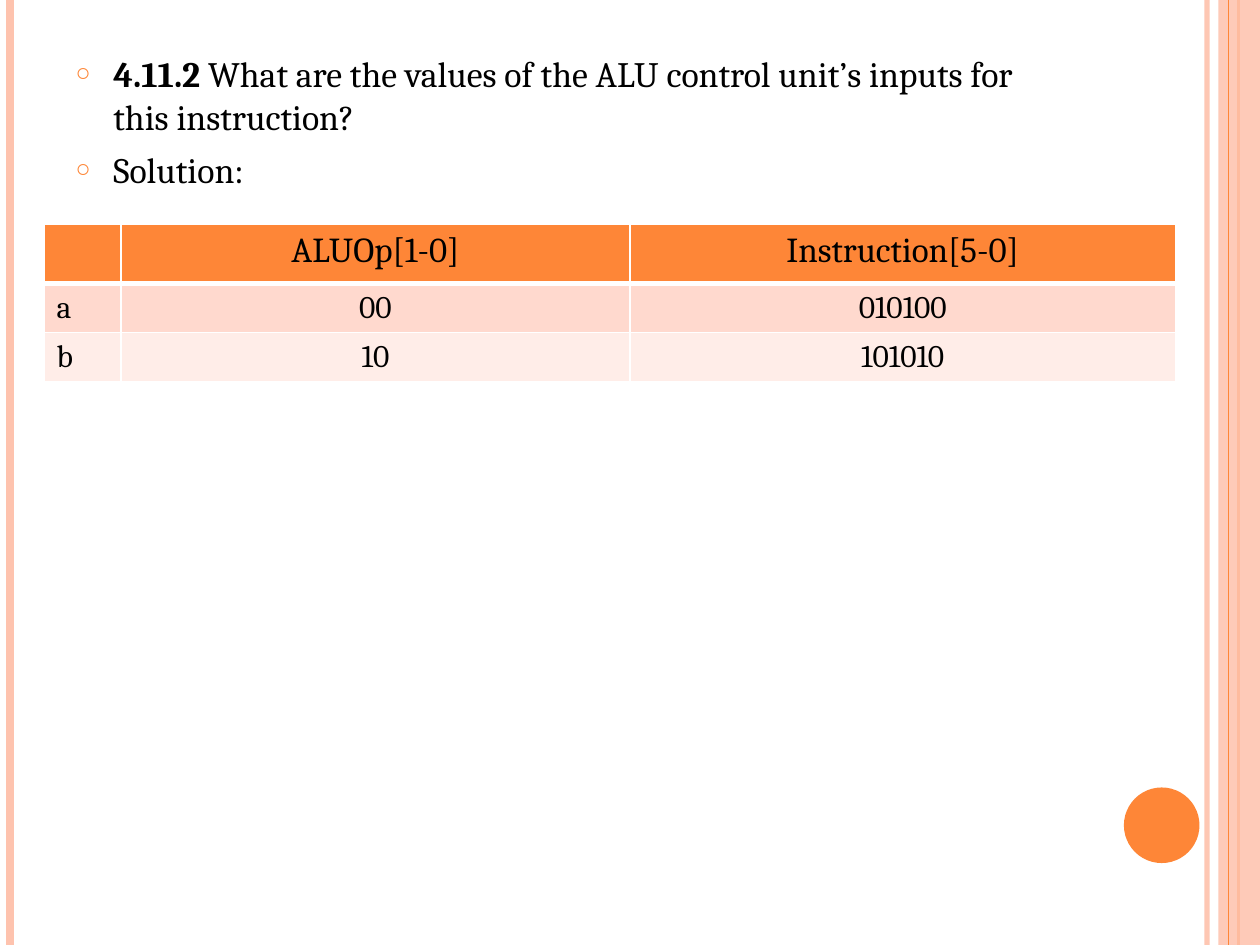
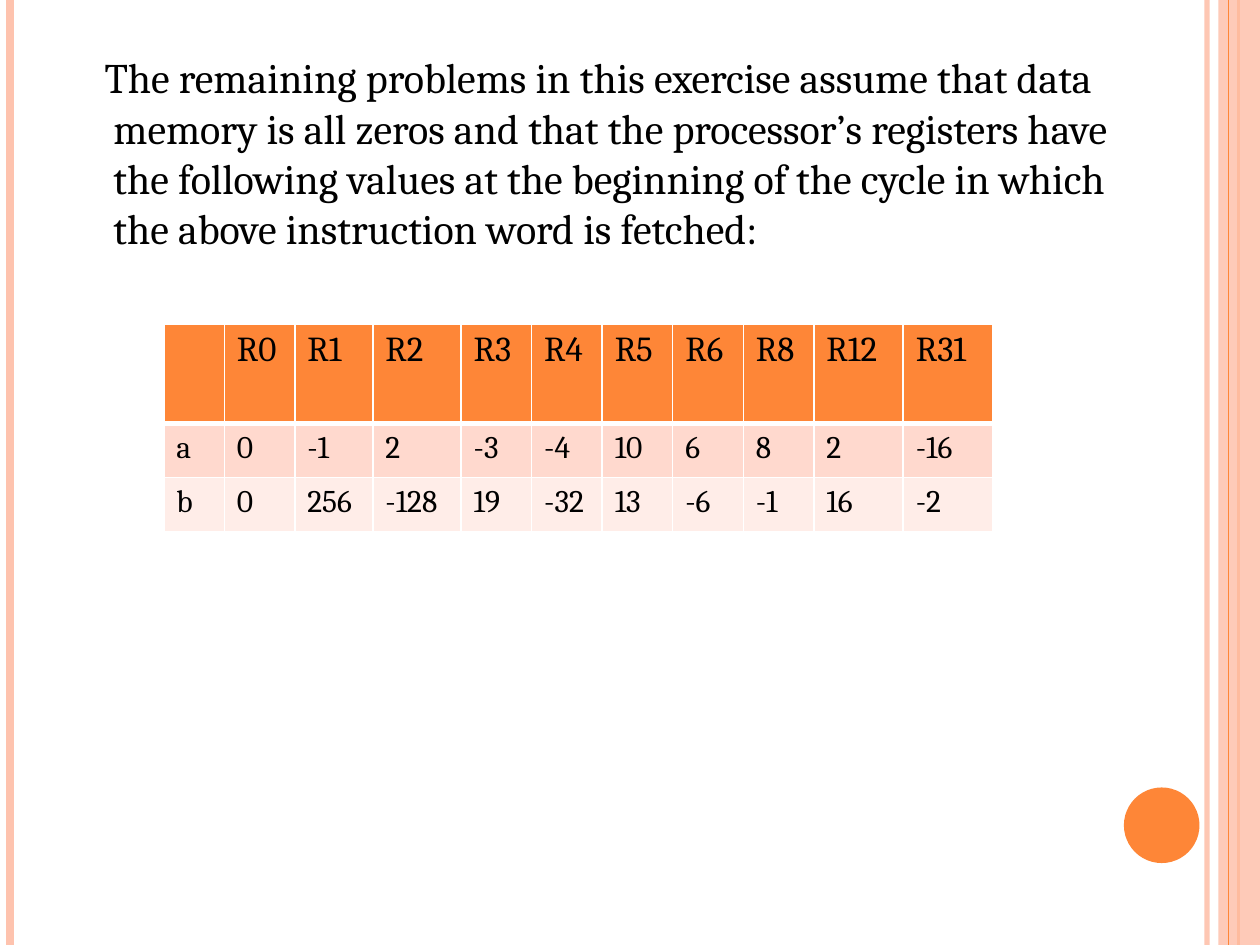
from lxml.etree import SubElement
from pptx import Presentation
from pptx.dml.color import RGBColor
from pptx.enum.shapes import MSO_CONNECTOR, MSO_SHAPE
from pptx.enum.text import MSO_ANCHOR, MSO_AUTO_SIZE, PP_ALIGN
from pptx.oxml.ns import qn
from pptx.util import Inches, Pt

FONT = "Cambria"
BLACK, WHITE = "000000", "FFFFFF"
ORANGE, PEACH = "FE8637", "FEC3AE"
ROWS = [ORANGE, "FFD9CE", "FFEDE8"]
HIGH = 7.5
LINES = [(9.58, PEACH, 3, 93), (0.08, PEACH, 4.5, 100), (9.83, ORANGE, 1.5, 100)]
EDGE = (9.75, ORANGE, 0.75, 100)


def paint(form, color):
    form.rgb = RGBColor.from_string(color)


def fade(shape, alpha):
    for color in shape._element.spPr.iter(qn("a:srgbClr")):
        SubElement(color, qn("a:alpha"), val=str(alpha * 1000))


def style(para, size):
    para.font.name = FONT
    para.font.size = Pt(size)
    paint(para.font.color, BLACK)


def rule(slide, x, color, width, alpha):
    line = slide.shapes.add_connector(
        MSO_CONNECTOR.STRAIGHT, Inches(x), 0, Inches(x), Inches(HIGH))
    paint(line.line.color, color)
    line.line.width = Pt(width)
    if alpha < 100:
        fade(line, alpha)
    SubElement(line._element.spPr, qn("a:effectLst"))


def solid(slide, kind, box, color):
    shape = slide.shapes.add_shape(kind, *map(Inches, box))
    shape.shadow.inherit = False
    shape.fill.solid()
    paint(shape.fill.fore_color, color)
    shape.line.fill.background()
    return shape


def frame(slide):
    for line in LINES:
        rule(slide, *line)
    fade(solid(slide, MSO_SHAPE.RECTANGLE, (9.67, 0, 0.33, HIGH), PEACH), 87)
    rule(slide, *EDGE)
    solid(slide, MSO_SHAPE.OVAL, (8.92, 6.25, 0.6, 0.6), ORANGE)


def bullet(props, mark):
    if not mark:
        SubElement(props, qn("a:buNone"))
        return
    color = SubElement(props, qn("a:buClr"))
    SubElement(color, qn("a:srgbClr"), val=ORANGE)
    SubElement(props, qn("a:buSzPct"), val="70000")
    SubElement(props, qn("a:buChar"), char=mark)


def body(slide, box, items, size, mark="", indent=-0.3, right=0.1):
    shape = slide.placeholders[1]
    shape.left, shape.top, shape.width, shape.height = map(Inches, box)
    text = shape.text_frame
    text.auto_size = MSO_AUTO_SIZE.NONE
    text.word_wrap = True
    text.vertical_anchor = MSO_ANCHOR.TOP
    text.margin_right = Inches(right)
    for i, (lead, rest) in enumerate(items):
        para = text.add_paragraph() if i else text.paragraphs[0]
        props = para._p.get_or_add_pPr()
        props.set("marL", str(Inches(0.3)))
        props.set("indent", str(Inches(indent)))
        para.space_before = Pt(6 if i else 0)
        bullet(props, mark)
        style(para, size)
        if lead:
            run = para.add_run()
            run.text = lead
            run.font.bold = True
        para.add_run().text = rest


def border(cell, row):
    props = cell._tc.get_or_add_tcPr()
    widths = {"L": 1, "R": 1, "T": 3 if row == 1 else 1, "B": 1 if row else 3}
    for side, width in widths.items():
        line = SubElement(props, qn("a:ln" + side), w=str(Pt(width)))
        fill = SubElement(line, qn("a:solidFill"))
        SubElement(fill, qn("a:srgbClr"), val=WHITE)


def grid(slide, left, top, cols, rows, data, align):
    box = map(Inches, (left, top, sum(cols), sum(rows)))
    table = slide.shapes.add_table(len(rows), len(cols), *box).table
    table.first_row = table.horz_banding = False
    for col, width in zip(table.columns, cols):
        col.width = Inches(width)
    for r, (values, height) in enumerate(zip(data, rows)):
        table.rows[r].height = Inches(height)
        for c, value in enumerate(values):
            cell = table.cell(r, c)
            border(cell, r)
            cell.fill.solid()
            paint(cell.fill.fore_color, ROWS[r])
            cell.text = value
            para = cell.text_frame.paragraphs[0]
            para.alignment = align if c else PP_ALIGN.LEFT
            style(para, 18 if r else 20)


def start(deck):
    slide = deck.slides.add_slide(deck.slide_layouts[1])
    title = slide.shapes.title._element
    title.getparent().remove(title)
    frame(slide)
    return slide


def inputs(deck):
    slide = start(deck)
    items = [
        ("4.11.2", " What are the values of the ALU control unit’s inputs for this instruction?"),
        ("", "Solution:"),
    ]
    body(slide, (0.5, 0.36, 8.17, 1.42), items, 20.4, "○", right=0.25)
    data = [
        ["", "ALUOp[1-0]", "Instruction[5-0]"],
        ["a", "00", "010100"],
        ["b", "10", "101010"],
    ]
    grid(slide, 0.35, 1.78, [0.61, 4.04, 4.33], [0.47, 0.39, 0.39], data, PP_ALIGN.CENTER)


def values(deck):
    slide = start(deck)
    words = (
        "The remaining problems in this exercise assume that data memory is all zeros "
        "and that the processor’s registers have the following values at the beginning "
        "of the cycle in which the above instruction word is fetched:"
    )
    body(slide, (0.5, 0.36, 8.6, 6.72), [("", words)], 24, indent=-0.07)
    data = [
        ["", "R0", "R1", "R2", "R3", "R4", "R5", "R6", "R8", "R12", "R31"],
        ["a", "0", "-1", "2", "-3", "-4", "10", "6", "8", "2", "-16"],
        ["b", "0", "256", "-128", "19", "-32", "13", "-6", "-1", "16", "-2"],
    ]
    cols = [0.48, 0.56, 0.62, 0.7] + [0.56] * 5 + [0.71] * 2
    grid(slide, 1.3, 2.57, cols, [0.79, 0.43, 0.43], data, PP_ALIGN.LEFT)


def main():
    deck = Presentation()
    deck.slide_width, deck.slide_height = Inches(10), Inches(HIGH)
    inputs(deck)
    values(deck)
    deck.save("out.pptx")


if __name__ == "__main__":
    main()
